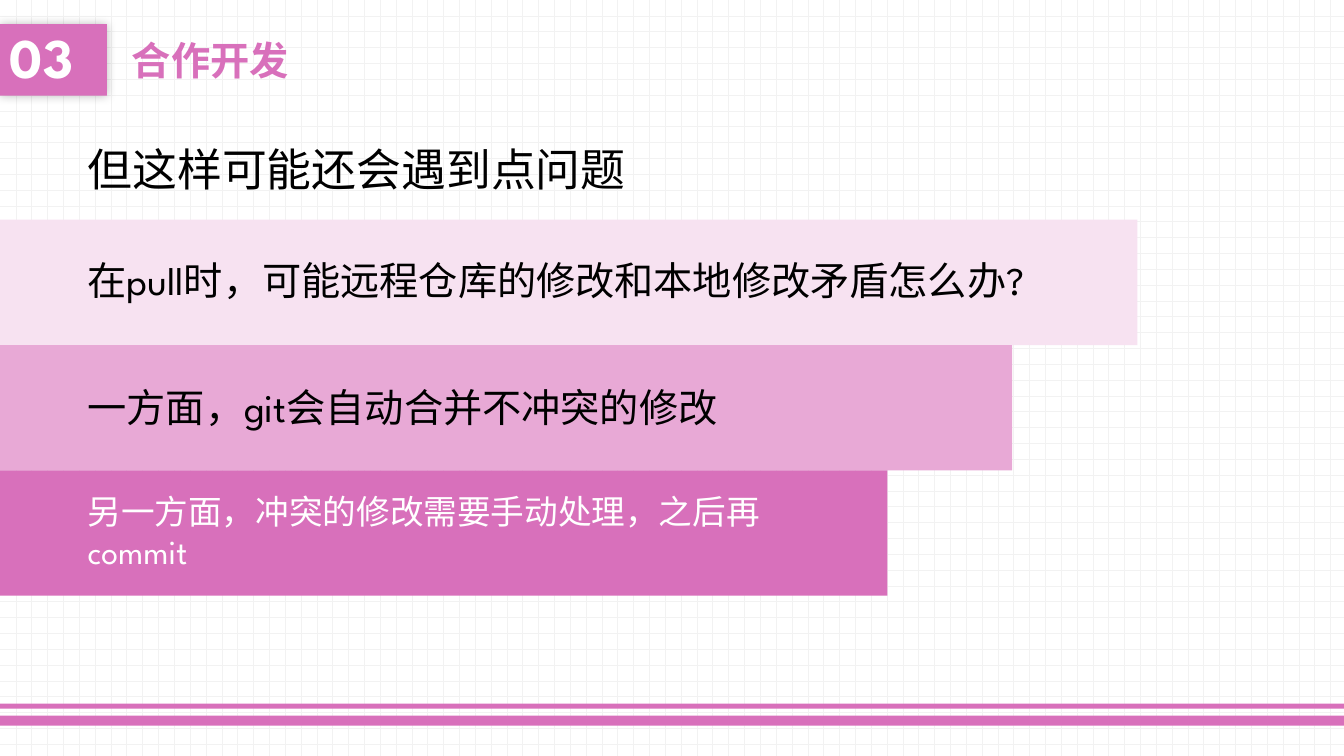
import dataclasses
import typing

import pptx
import pptx.dml.color
import pptx.enum.dml
import pptx.enum.shapes
import pptx.enum.text
import pptx.oxml
import pptx.oxml.ns
import pptx.util

FONT = "League Spartan"
PINK, BLACK, WHITE = "D870BB", "000000", "FFFFFF"
MARGIN = 5.78
HEADER_TOP, HEADER_HEIGHT = 3.2, 9.47
BAND_TOP, BAND_HEIGHT = 29.07, 16.58
BAND_WIDTH, BAND_STEP = 84.62, 9.3
MIDDLE = pptx.enum.text.MSO_ANCHOR.MIDDLE
TOP = pptx.enum.text.MSO_ANCHOR.TOP


class Box(typing.NamedTuple):
    """Left, top, width and height as percentages of the slide's size."""
    left: float
    top: float
    width: float
    height: float


@dataclasses.dataclass
class Label:
    text: str
    box: Box
    size: int
    color: str = BLACK
    bold: bool = False
    wrap: bool = True
    anchor: typing.Any = TOP
    line_spacing: float = 1.0


@dataclasses.dataclass
class Band:
    fill: str
    text: str
    text_top: float
    text_width: float
    text_height: float
    size: int = 28
    color: str = BLACK


RULES = [Box(0, 94.67, 100, 1.33), Box(0, 93.07, 100, 0.67)]
BADGE = Box(0, HEADER_TOP, 7.95, HEADER_HEIGHT)
LABELS = [
    Label("03", BADGE, 40, WHITE, bold=True, anchor=MIDDLE, line_spacing=0.9),
    Label("合作开发", Box(9.08, HEADER_TOP, 52.8, HEADER_HEIGHT), 28, PINK,
          bold=True, anchor=MIDDLE),
    Label("但这样可能还会遇到点问题", Box(MARGIN, 18.13, 41.9, 8.53), 32, wrap=False),
]
BANDS = [
    Band("F7E2F1", "在pull时，可能远程仓库的修改和本地修改矛盾怎么办?", 33.2, 78.84, 7.6),
    Band("E8A9D6", "一方面，git会自动合并不冲突的修改", 50, 70.2, 7.6),
    Band(PINK, "另一方面，冲突的修改需要手动处理，之后再commit", 64.27, 58.9, 12.13, 24, WHITE),
]


def rgb(color: str) -> pptx.dml.color.RGBColor:
    return pptx.dml.color.RGBColor.from_string(color)


def place(prs, box: Box) -> list[int]:
    sizes = (prs.slide_width, prs.slide_height) * 2
    return [round(size * share / 100) for size, share in zip(sizes, box)]


def add_block(prs, s, box: Box, fill: str):
    sp = s.shapes.add_shape(pptx.enum.shapes.MSO_SHAPE.RECTANGLE, *place(prs, box))
    sp.shadow.inherit = False
    sp.fill.solid()
    sp.fill.fore_color.rgb = rgb(fill)
    sp.line.fill.background()
    return sp


def add_glow_shadow(sp) -> None:
    """Put a soft, centred shadow around a shape."""
    effects = sp._element.spPr.find(pptx.oxml.ns.qn("a:effectLst"))
    effects.append(pptx.oxml.parse_xml(
        f'<a:outerShdw {pptx.oxml.ns.nsdecls("a")} blurRad="{pptx.util.Pt(7)}" dist="0" '
        'algn="ctr" rotWithShape="0"><a:srgbClr val="000000"><a:alpha val="25000"/>'
        '</a:srgbClr></a:outerShdw>'))


def add_label(prs, s, label: Label) -> None:
    tf = s.shapes.add_textbox(*place(prs, label.box)).text_frame
    tf.word_wrap = label.wrap
    tf.vertical_anchor = label.anchor
    p = tf.paragraphs[0]
    p.line_spacing = label.line_spacing
    r = p.add_run()
    r.text = label.text
    style = {"name": FONT, "size": pptx.util.Pt(label.size), "bold": label.bold}
    for key, value in style.items():
        setattr(r.font, key, value)
    r.font.color.rgb = rgb(label.color)


def add_grid_background(s) -> None:
    fill = s.background.fill
    fill.patterned()
    fill.pattern = pptx.enum.dml.MSO_PATTERN.DOTTED_GRID
    fill.fore_color.rgb = rgb("F2F2F2")
    fill.back_color.rgb = rgb(WHITE)


def main() -> None:
    prs = pptx.Presentation()
    prs.slide_width = pptx.util.Inches(13.33)
    prs.slide_height = pptx.util.Inches(7.5)
    s = prs.slides.add_slide(prs.slide_layouts[6])
    add_grid_background(s)

    for rule in RULES:
        add_block(prs, s, rule, PINK)
    add_glow_shadow(add_block(prs, s, BADGE, PINK))
    for i, band in enumerate(BANDS):
        box = Box(0, BAND_TOP + i * BAND_HEIGHT, BAND_WIDTH - i * BAND_STEP, BAND_HEIGHT)
        add_block(prs, s, box, band.fill)
        text_box = Box(MARGIN, band.text_top, band.text_width, band.text_height)
        add_label(prs, s, Label(band.text, text_box, band.size, band.color))
    for label in LABELS:
        add_label(prs, s, label)

    prs.save("out.pptx")


if __name__ == "__main__":
    main()
